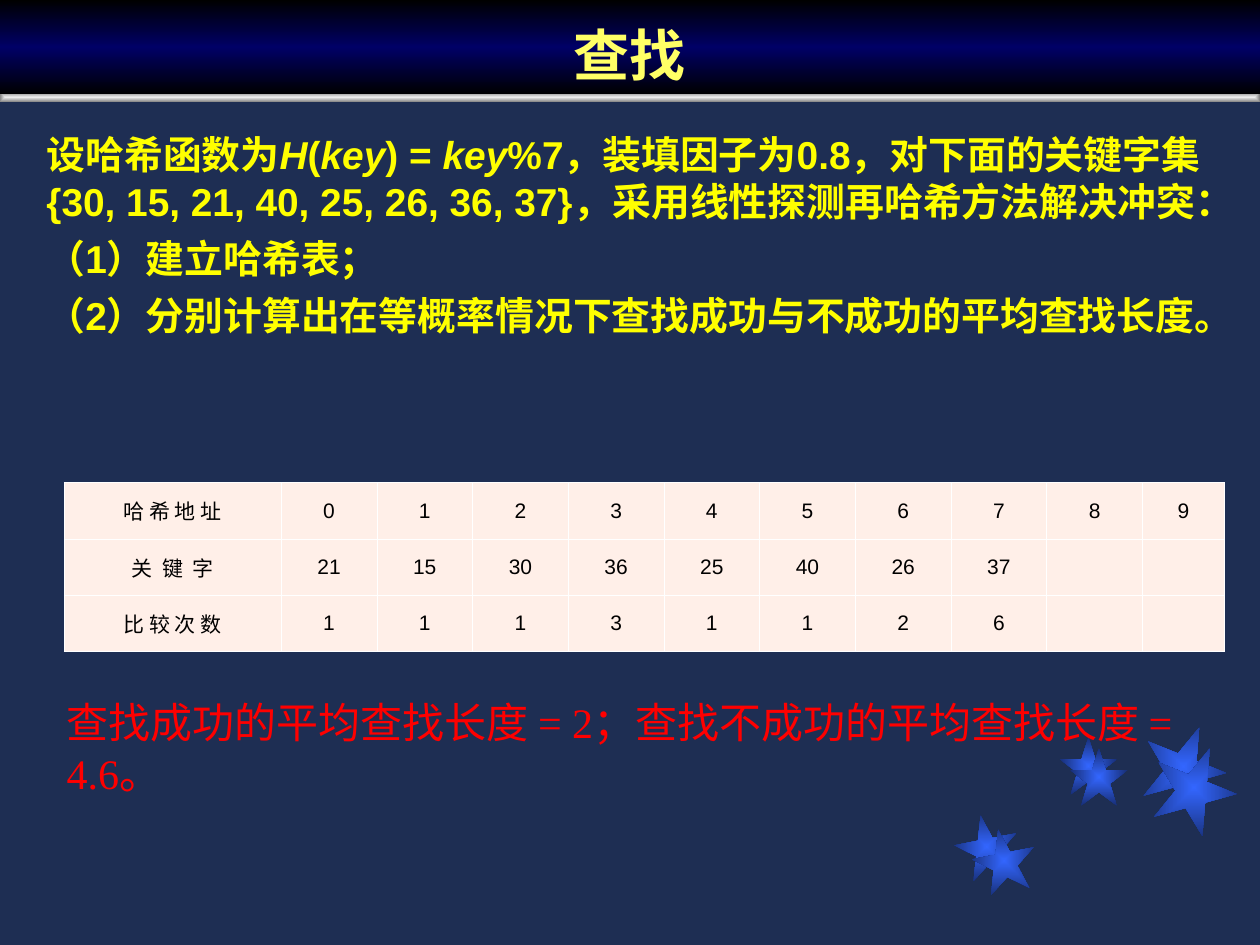
from lxml import etree
from pptx import Presentation
from pptx.dml.color import RGBColor
from pptx.enum.shapes import MSO_SHAPE
from pptx.enum.text import MSO_ANCHOR, PP_ALIGN
from pptx.oxml import parse_xml
from pptx.oxml.ns import nsdecls, qn
from pptx.util import Pt

NAVY = RGBColor(0x1E, 0x2E, 0x53)
BLACK = RGBColor(0x00, 0x00, 0x00)
MIDNIGHT = RGBColor(0x00, 0x00, 0x66)
STAR_BLUE = RGBColor(0x33, 0x66, 0xFF)
STAR_DARK = RGBColor(0x18, 0x2F, 0x76)
SILVER = RGBColor(0xED, 0xED, 0xED)
GRAY = RGBColor(0x80, 0x80, 0x80)
PALE_YELLOW = RGBColor(0xFF, 0xFF, 0x66)
YELLOW = RGBColor(0xFF, 0xFF, 0x00)
RED = RGBColor(0xFF, 0x00, 0x00)
CREAM = RGBColor(0xFF, 0xEF, 0xE8)
WHITE = RGBColor(0xFF, 0xFF, 0xFF)

FROM_CENTER = ('<a:path path="rect"><a:fillToRect l="50000" t="50000" '
               'r="50000" b="50000"/></a:path>')
DOWNWARD = '<a:lin ang="5400000" scaled="0"/>'

# left, top, size in points and rotation in degrees
STARS = [(545.8, 465.8, 36, -11), (605.5, 421.2, 33, 0), (652.3, 414, 48, 22)]
STAR_SHIFTS = [(10, 8), (6, 6.3), (6, 12)]

QUESTION = [
    [("设哈希函数为", False), ("H", True), ("(", False), ("key", True),
     (") = ", False), ("key", True),
     ("%7，装填因子为0.8，对下面的关键字集{30, 15, 21, 40, 25, 26, 36, 37}，"
      "采用线性探测再哈希方法解决冲突：", False)],
    [("（1）建立哈希表；", False)],
    [("（2）分别计算出在等概率情况下查找成功与不成功的平均查找长度。", False)],
]
ANSWER = [[("查找成功的平均查找长度 = 2；查找不成功的平均查找长度 = 4.6。", False)]]

HASH_TABLE = [
    ["哈 希 地 址", *range(10)],
    ["关  键  字", 21, 15, 30, 36, 25, 40, 26, 37, "", ""],
    ["比 较 次 数", 1, 1, 1, 3, 1, 1, 2, 6, "", ""],
]
COLUMN_WIDTHS = [124] + [54.7] * 9 + [46.8]


class SlideBuilder:
    title_style = dict(name="Noto Sans CJK SC", size=Pt(32), bold=True, color=PALE_YELLOW)
    question_style = dict(name="Arial", size=Pt(22.2), bold=True, color=YELLOW)
    answer_style = dict(name="Times New Roman", size=Pt(24), bold=False, color=RED)
    cell_style = dict(name="Arial", size=Pt(12), bold=False, color=BLACK)

    def __init__(self, prs):
        self.s = prs.slides.add_slide(prs.slide_layouts[5])
        self.s.background.fill.solid()
        self.s.background.fill.fore_color.rgb = NAVY

    def run(self, p, text, style, italic=False):
        r = p.add_run()
        r.text = text
        for key, value in {**style, "italic": italic}.items():
            if key == "color":
                r.font.color.rgb = value
            else:
                setattr(r.font, key, value)

    def gradient(self, sp, colors, direction):
        """Fill with evenly spaced colours."""
        sp.fill.background()
        stops = "".join(
            f'<a:gs pos="{i * 100000 // (len(colors) - 1)}"><a:srgbClr val="{c}"/></a:gs>'
            for i, c in enumerate(colors))
        fill = parse_xml(f'<a:gradFill {nsdecls("a")} rotWithShape="1">'
                         f'<a:gsLst>{stops}</a:gsLst>{direction}</a:gradFill>')
        props = sp.element.spPr
        props.replace(props.find(qn("a:noFill")), fill)

    def shape(self, kind, left, top, width, height, colors, rotation=0):
        sp = self.s.shapes.add_shape(kind, Pt(left), Pt(top), Pt(width), Pt(height))
        sp.rotation = rotation
        sp.shadow.inherit = False
        sp.line.fill.background()
        self.gradient(sp, colors, FROM_CENTER)

    def title(self, text, left, top, width, height):
        sp = self.s.shapes.title
        sp.left, sp.top, sp.width, sp.height = Pt(left), Pt(top), Pt(width), Pt(height)
        self.gradient(sp, [BLACK, MIDNIGHT, BLACK], DOWNWARD)
        tf = sp.text_frame
        tf.vertical_anchor = MSO_ANCHOR.BOTTOM
        p = tf.paragraphs[0]
        p.alignment = PP_ALIGN.CENTER
        self.run(p, text, self.title_style)
        self.s.shapes.element.append(sp.element)  # bring in front of the bar

    def text(self, paragraphs, left, top, width, height, style, space_before=0):
        sp = self.s.shapes.add_textbox(Pt(left), Pt(top), Pt(width), Pt(height))
        tf = sp.text_frame
        tf.word_wrap = True
        for i, runs in enumerate(paragraphs):
            p = tf.add_paragraph() if i else tf.paragraphs[0]
            p.space_before = Pt(space_before)
            for text, italic in runs:
                self.run(p, text, style, italic)

    def cell_borders(self, cell):
        props = cell._tc.get_or_add_tcPr()
        for i, side in enumerate(("lnL", "lnR", "lnT", "lnB")):
            ln = etree.Element(qn(f"a:{side}"), w=str(Pt(0.45)))
            fill = etree.SubElement(ln, qn("a:solidFill"))
            etree.SubElement(fill, qn("a:srgbClr"), val=str(WHITE))
            props.insert(i, ln)

    def table(self, rows, left, top, widths, row_height):
        frame = self.s.shapes.add_table(len(rows), len(widths), Pt(left), Pt(top),
                                        Pt(sum(widths)), Pt(row_height * len(rows)))
        table = frame.table
        table.first_row = table.horz_banding = False
        for column, width in zip(table.columns, widths):
            column.width = Pt(width)
        for i, row in enumerate(rows):
            table.rows[i].height = Pt(row_height)
            for j, value in enumerate(row):
                cell = table.cell(i, j)
                cell.fill.solid()
                cell.fill.fore_color.rgb = CREAM
                self.cell_borders(cell)
                cell.vertical_anchor = MSO_ANCHOR.MIDDLE
                cell.margin_left = cell.margin_right = Pt(5)
                p = cell.text_frame.paragraphs[0]
                p.alignment = PP_ALIGN.CENTER
                p.space_before = p.space_after = Pt(2 if j else 1)
                if value != "":
                    self.run(p, str(value), self.cell_style)


def main():
    prs = Presentation()
    prs.slide_width, prs.slide_height = Pt(720), Pt(540)
    b = SlideBuilder(prs)
    shifted = [(x + dx, y + dy, size, turn)
               for (x, y, size, turn), (dx, dy) in zip(STARS, STAR_SHIFTS)]
    for x, y, size, turn in STARS + shifted:
        b.shape(MSO_SHAPE.STAR_5_POINT, x, y, size, size, [STAR_BLUE, STAR_DARK], turn)
    b.shape(MSO_SHAPE.RECTANGLE, 0, 52.6, 720, 5.8, [SILVER, GRAY])
    b.title("查找", 0, 0, 720, 54)
    b.text(QUESTION, 19.5, 71.3, 681, 181.4, b.question_style, space_before=6)
    b.text(ANSWER, 31, 394.6, 669, 64.8, b.answer_style)
    b.table(HASH_TABLE, 36.7, 275.8, COLUMN_WIDTHS, 32.2)
    prs.save("out.pptx")


if __name__ == "__main__":
    main()
